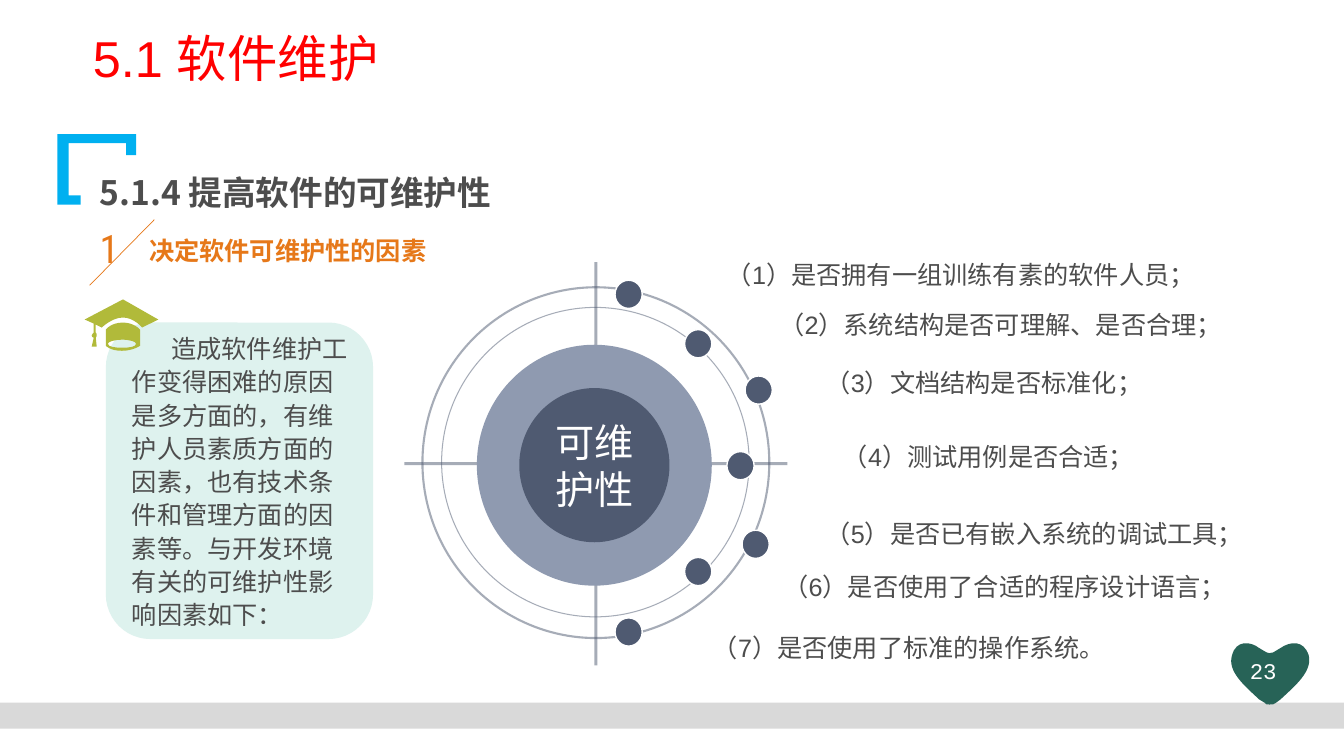
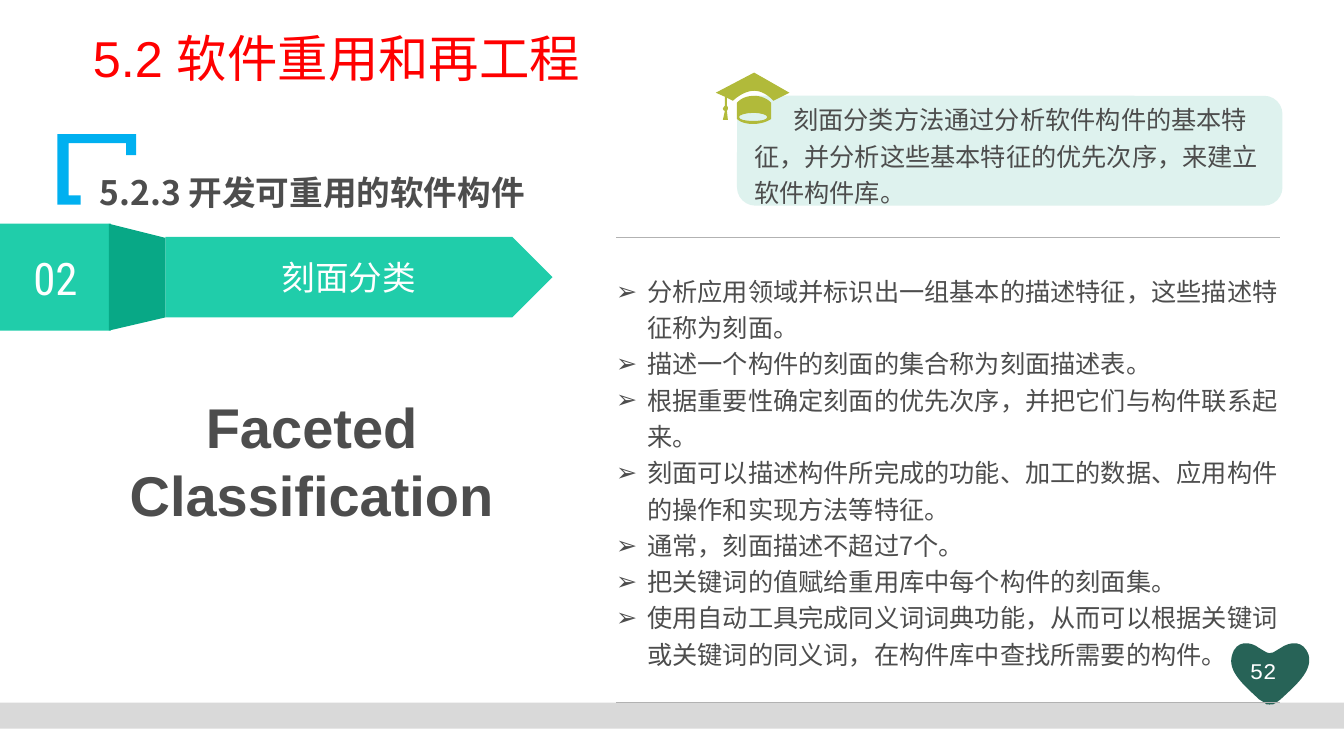
"""Build two lecture slides on software maintenance and software reuse."""
from dataclasses import dataclass

from lxml import etree
from pptx import Presentation
from pptx.dml.color import RGBColor
from pptx.enum.lang import MSO_LANGUAGE_ID
from pptx.enum.shapes import MSO_CONNECTOR, MSO_SHAPE
from pptx.enum.text import MSO_ANCHOR, MSO_AUTO_SIZE, PP_ALIGN
from pptx.oxml.ns import qn
from pptx.util import Inches, Pt

STRAIGHT = MSO_CONNECTOR.STRAIGHT
OVAL, RECTANGLE = MSO_SHAPE.OVAL, MSO_SHAPE.RECTANGLE
ROUNDED, PENTAGON = MSO_SHAPE.ROUNDED_RECTANGLE, MSO_SHAPE.PENTAGON
LEFT, CENTER = PP_ALIGN.LEFT, PP_ALIGN.CENTER
TOP, MIDDLE = MSO_ANCHOR.TOP, MSO_ANCHOR.MIDDLE
NO_FIT = MSO_AUTO_SIZE.NONE
CHINESE = MSO_LANGUAGE_ID.SIMPLIFIED_CHINESE


@dataclass(frozen=True)
class Theme:
    latin: str = "Arial"
    chinese: str = "Noto Sans CJK SC"
    numeral: str = "Roboto Condensed"
    mono: str = "Courier New"
    red: str = "FF0000"
    ink: str = "4D4D4D"
    white: str = "FFFFFF"
    orange: str = "E67819"
    slate: str = "4F5A71"
    mist: str = "8F9AB0"
    mint: str = "DEF2EE"
    olive: str = "B1BA3A"
    teal: str = "20CDAA"
    deep_teal: str = "08A886"
    forest: str = "276357"
    sky: str = "00B0F0"
    band: str = "D9D9D9"
    rule: str = "B2B2B2"
    title: int = 36
    heading: int = 24
    body: int = 18
    page: int = 16
    numeral_small: int = 28
    numeral_large: int = 32
    hub: int = 28
    english: int = 40


THEME = Theme()
INSETS = (0.1, 0.05, 0.1, 0.05)
TITLE_BOX = (0.82, 0.29, 9.2, 0.94)

BRACKET = [[(0.57, 1.33), (1.35, 1.33), (1.35, 1.54), (1.25, 1.54), (1.25, 1.42),
            (0.68, 1.42), (0.68, 1.94), (0.8, 1.94), (0.8, 2.03), (0.57, 2.03)]]
HEART = [[(12.98, 6.5), (12.93, 6.35, 12.8, 6.36, 12.7, 6.43), (12.65, 6.46),
          (12.64, 6.47, 12.62, 6.48, 12.59, 6.48), (12.57, 6.48, 12.56, 6.47, 12.54, 6.46),
          (12.49, 6.43), (12.4, 6.36, 12.26, 6.35, 12.22, 6.5),
          (12.17, 6.66, 12.34, 6.8, 12.49, 6.94), (12.54, 6.97),
          (12.55, 6.99, 12.57, 6.99, 12.59, 6.99), (12.62, 6.99, 12.64, 6.99, 12.66, 6.97),
          (12.7, 6.94), (12.85, 6.8, 13.02, 6.66, 12.98, 6.5)]]
CAP = [
    [(0.57, 0.28), (0.57, 0.28, 0.49, 0.18, 0.38, 0.18), (0.27, 0.18, 0.17, 0.28, 0.17, 0.28),
     (0.11, 0.25), (0.11, 0.33), (0.12, 0.33, 0.12, 0.35, 0.12, 0.36),
     (0.12, 0.37, 0.11, 0.38, 0.11, 0.38), (0.12, 0.47), (0.07, 0.47), (0.09, 0.38),
     (0.08, 0.38, 0.07, 0.37, 0.07, 0.36), (0.07, 0.35, 0.08, 0.34, 0.09, 0.33),
     (0.09, 0.24), (0, 0.2), (0.38, 0), (0.73, 0.2)],
    [(0.38, 0.23), (0.49, 0.23, 0.55, 0.3, 0.55, 0.3), (0.55, 0.46),
     (0.55, 0.46, 0.48, 0.51, 0.37, 0.51), (0.25, 0.51, 0.21, 0.46, 0.21, 0.46),
     (0.21, 0.3), (0.21, 0.3, 0.26, 0.23, 0.38, 0.23)],
    [(0.37, 0.48), (0.45, 0.48, 0.51, 0.47, 0.51, 0.44), (0.51, 0.42, 0.45, 0.4, 0.37, 0.4),
     (0.3, 0.4, 0.23, 0.42, 0.23, 0.44), (0.23, 0.47, 0.3, 0.48, 0.37, 0.48)],
]
FOLD = [[(1.08, 2.22), (1.64, 2.36), (1.64, 3.15), (1.08, 3.28)]]

MAINTENANCE = {
    "layout": 5,
    "title": "5.1 软件维护",
    "heading": "5.1.4 提高软件的可维护性",
    "page": "23",
    "card": (1.05, 3.2, 2.65, 3.14),
    "note_box": (1.21, 3.23, 2.43, 3.1),
    "note_format": {"spacing": 1.1, "indent": 0.39},
    "note": "造成软件维护工作变得困难的原因是多方面的，有维护人员素质方面的因素，"
            "也有技术条件和管理方面的因素等。与开发环境有关的可维护性影响因素如下：",
}
FACTORS = [
    ("（1）是否拥有一组训练有素的软件人员；", (7.21, 2.43), (6.1, 2.78)),
    ("（2）系统结构是否可理解、是否合理；", (7.73, 2.93), (6.79, 3.27)),
    ("（3）文档结构是否标准化；", (8.19, 3.51), (7.39, 3.73)),
    ("（4）测试用例是否合适；", (8.36, 4.24), (7.21, 4.48)),
    ("（5）是否已有嵌入系统的调试工具；", (8.19, 5), (7.36, 5.26)),
    ("（6）是否使用了合适的程序设计语言；", (7.77, 5.53), (6.79, 5.53)),
    ("（7）是否使用了标准的操作系统。", (7.07, 6.13), (6.1, 6.13)),
]
REUSE = {
    "layout": 1,
    "title": "5.2 软件重用和再工程",
    "heading": "5.2.3 开发可重用的软件构件",
    "page": "52",
    "card": (7.31, 0.95, 5.41, 1.09),
    "note_box": (7.07, 0.93, 5.59, 1.19),
    "note_format": {"spacing": 1.2, "margin": 0.31, "indent": 0.39},
    "note": "刻面分类方法通过分析软件构件的基本特征，并分析这些基本特征的优先次序，"
            "来建立软件构件库。",
}
FACETS = [
    "分析应用领域并标识出一组基本的描述特征，这些描述特征称为刻面。",
    "描述一个构件的刻面的集合称为刻面描述表。",
    "根据重要性确定刻面的优先次序，并把它们与构件联系起来。",
    "刻面可以描述构件所完成的功能、加工的数据、应用构件的操作和实现方法等特征。",
    "通常，刻面描述不超过7个。",
    "把关键词的值赋给重用库中每个构件的刻面集。",
    "使用自动工具完成同义词词典功能，从而可以根据关键词或关键词的同义词，"
    "在构件库中查找所需要的构件。",
]


def place(shape, box):
    for name, value in zip(("left", "top", "width", "height"), box):
        setattr(shape, name, Inches(value))


def write(shape, lines, size, color, font=THEME.latin, bold=False, align=LEFT, anchor=TOP,
          spacing=1.0, margin=0, indent=0, bullet=None, insets=INSETS, wrap=True):
    frame = shape.text_frame
    frame.text = "\n".join(lines)
    settings = {"word_wrap": wrap, "auto_size": NO_FIT, "vertical_anchor": anchor}
    for side, value in zip(("left", "top", "right", "bottom"), insets):
        settings["margin_" + side] = Inches(value)
    for name, value in settings.items():
        setattr(frame, name, value)
    for paragraph in frame.paragraphs:
        layout = {"alignment": align, "line_spacing": spacing,
                  "space_before": Pt(0), "space_after": Pt(0)}
        for name, value in layout.items():
            setattr(paragraph, name, value)
        properties = paragraph._p.get_or_add_pPr()
        properties.set("marL", str(Inches(margin)))
        properties.set("indent", str(Inches(indent)))
        if bullet:
            etree.SubElement(properties, qn("a:buChar")).set("char", bullet)
        for run in paragraph.runs:
            style = {"name": font, "size": Pt(size), "bold": bold, "language_id": CHINESE}
            for name, value in style.items():
                setattr(run.font, name, value)
            run.font.color.rgb = RGBColor.from_string(color)
            east_asian = etree.SubElement(run._r.get_or_add_rPr(), qn("a:ea"))
            east_asian.set("typeface", THEME.chinese)


def add_text(slide, box, text, size, color, **options):
    shape = slide.shapes.add_textbox(*map(Inches, box))
    write(shape, [text], size, color, **options)


def draw_line(line, color, width, opacity=100):
    line.color.rgb = RGBColor.from_string(color)
    line.width = Pt(width)
    if opacity < 100:
        tint = line._ln.find(".//" + qn("a:srgbClr"))
        etree.SubElement(tint, qn("a:alpha")).set("val", str(opacity * 1000))


def paint(shape, fill=None, outline=None):
    shape.shadow.inherit = False
    if fill:
        shape.fill.solid()
        shape.fill.fore_color.rgb = RGBColor.from_string(fill)
    else:
        shape.fill.background()
    if outline:
        draw_line(shape.line, *outline)
    else:
        shape.line.fill.background()
    return shape


def add_preset(slide, kind, box, fill=None, outline=None):
    return paint(slide.shapes.add_shape(kind, *map(Inches, box)), fill, outline)


def add_rule(slide, start, end, *outline):
    connector = slide.shapes.add_connector(STRAIGHT, *map(Inches, start + end))
    draw_line(connector.line, *outline)
    etree.SubElement(connector._element.spPr, qn("a:effectLst"))


def bend(segment, edge, shape, left, top):
    edge.tag = qn("a:cubicBezTo")
    end = edge[0]
    for x, y in (segment[:2], segment[2:4]):
        control = etree.Element(qn("a:pt"))
        control.set("x", str(Inches(left + x) - shape.left))
        control.set("y", str(Inches(top + y) - shape.top))
        end.addprevious(control)


def add_outline(slide, contours, fill, left=0, top=0):
    builder = None
    for contour in contours:
        points = [(Inches(left + segment[-2]), Inches(top + segment[-1])) for segment in contour]
        if builder is None:
            builder = slide.shapes.build_freeform(*points[0])
        else:
            builder.move_to(*points[0])
        builder.add_line_segments(points[1:], close=True)
    shape = builder.convert_to_shape()
    segments = [segment for contour in contours for segment in contour[1:]]
    edges = list(shape.element.iter(qn("a:lnTo")))
    for segment, edge in zip(segments, edges):
        if len(segment) == 6:
            bend(segment, edge, shape, left, top)
    return paint(shape, fill)


def decorate_master(master, slide):
    place(master.placeholders[0], TITLE_BOX)
    decorations = [
        add_outline(slide, BRACKET, THEME.sky),
        add_preset(slide, RECTANGLE, (0, 6.97, 13.33, 0.26), THEME.band),
        add_outline(slide, HEART, THEME.forest),
    ]
    for number, shape in enumerate(decorations, 101):
        shape.element.nvSpPr.cNvPr.set("id", str(number))
        master.element.cSld.spTree.append(shape.element)


def start_slide(presentation, content):
    slide = presentation.slides.add_slide(presentation.slide_layouts[content["layout"]])
    write(slide.shapes.title, [content["title"]], THEME.title, THEME.red, spacing=0.9)
    add_text(slide, (0.89, 1.54, 6.32, 0.57), content["heading"], THEME.heading, THEME.ink,
             font=THEME.chinese, bold=True, spacing=1.3)
    add_text(slide, (12.18, 6.47, 0.7, 0.39), content["page"], THEME.page, THEME.white,
             font=THEME.mono, align=CENTER)
    left, top = content["card"][:2]
    add_preset(slide, ROUNDED, content["card"], THEME.mint)
    add_outline(slide, CAP, THEME.olive, left - 0.21, top - 0.23)
    add_text(slide, content["note_box"], content["note"], THEME.body, THEME.ink,
             font=THEME.chinese, **content["note_format"])
    return slide


def add_factor_wheel(slide):
    ring = THEME.slate
    add_preset(slide, OVAL, (4.19, 2.85, 3.44, 3.48), outline=(ring, 1.5, 50))
    add_rule(slide, (4.01, 4.6), (7.81, 4.6), ring, 2.25, 50)
    add_rule(slide, (5.91, 2.6), (5.91, 6.6), ring, 2.25, 50)
    add_preset(slide, OVAL, (4.38, 3.05, 3.05, 3.07), outline=(ring, 0.75, 50))
    add_preset(slide, OVAL, (4.73, 3.42, 2.33, 2.39), THEME.mist)
    hub = add_preset(slide, OVAL, (5.15, 3.85, 1.49, 1.53), THEME.slate)
    write(hub, ["可维护性"], THEME.hub, THEME.white, align=CENTER, anchor=MIDDLE,
          insets=(0, 0, 0, 0))
    for text, label, dot in FACTORS:
        add_preset(slide, OVAL, dot + (0.27, 0.28), THEME.slate, (THEME.white, 1))
        add_text(slide, label + (5, 0.53), text, THEME.body, THEME.ink, spacing=1.3,
                 insets=(0, 0.05, 0, 0.05))


def add_section_mark(slide):
    add_text(slide, (0.89, 2.18, 0.35, 0.57), "1", THEME.numeral_small, THEME.orange,
             font=THEME.numeral, wrap=False)
    add_rule(slide, (1.53, 2.18), (0.89, 2.83), THEME.orange, 0.5)
    add_text(slide, (1.38, 2.29, 3.4, 0.4), "决定软件可维护性的因素", THEME.body, THEME.orange,
             font=THEME.chinese, bold=True)


def add_ribbon(slide):
    arrow = add_preset(slide, PENTAGON, (1.64, 2.35, 3.84, 0.8), THEME.teal)
    write(arrow, ["刻面分类"], THEME.heading, THEME.white, font=THEME.chinese,
          align=CENTER, anchor=MIDDLE)
    tab = add_preset(slide, RECTANGLE, (0, 2.22, 1.1, 1.06), THEME.teal)
    write(tab, ["02"], THEME.numeral_large, THEME.white, font=THEME.numeral,
          align=CENTER, anchor=MIDDLE)
    add_outline(slide, FOLD, THEME.deep_teal)


def add_facet_list(slide):
    left, top, width, height = box = (6.11, 2.35, 6.59, 4.62)
    for y in (top, top + height):
        add_rule(slide, (left, y), (left + width, y), THEME.rule, 0.25)
    body = slide.placeholders[1]
    place(body, box)
    write(body, FACETS, THEME.body, THEME.ink, font=THEME.chinese, anchor=MIDDLE, spacing=1.2,
          margin=0.31, indent=-0.31, bullet="➢", insets=(0, 0.08, 0, 0.08))


def main():
    presentation = Presentation()
    presentation.slide_width, presentation.slide_height = Inches(13.33), Inches(7.5)
    maintenance = start_slide(presentation, MAINTENANCE)
    decorate_master(presentation.slide_master, maintenance)
    add_factor_wheel(maintenance)
    add_section_mark(maintenance)
    reuse = start_slide(presentation, REUSE)
    add_ribbon(reuse)
    add_facet_list(reuse)
    add_text(reuse, (0.53, 3.85, 5.12, 1.9), "Faceted Classification", THEME.english, THEME.ink,
             bold=True, align=CENTER)
    presentation.save("out.pptx")


if __name__ == "__main__":
    main()
